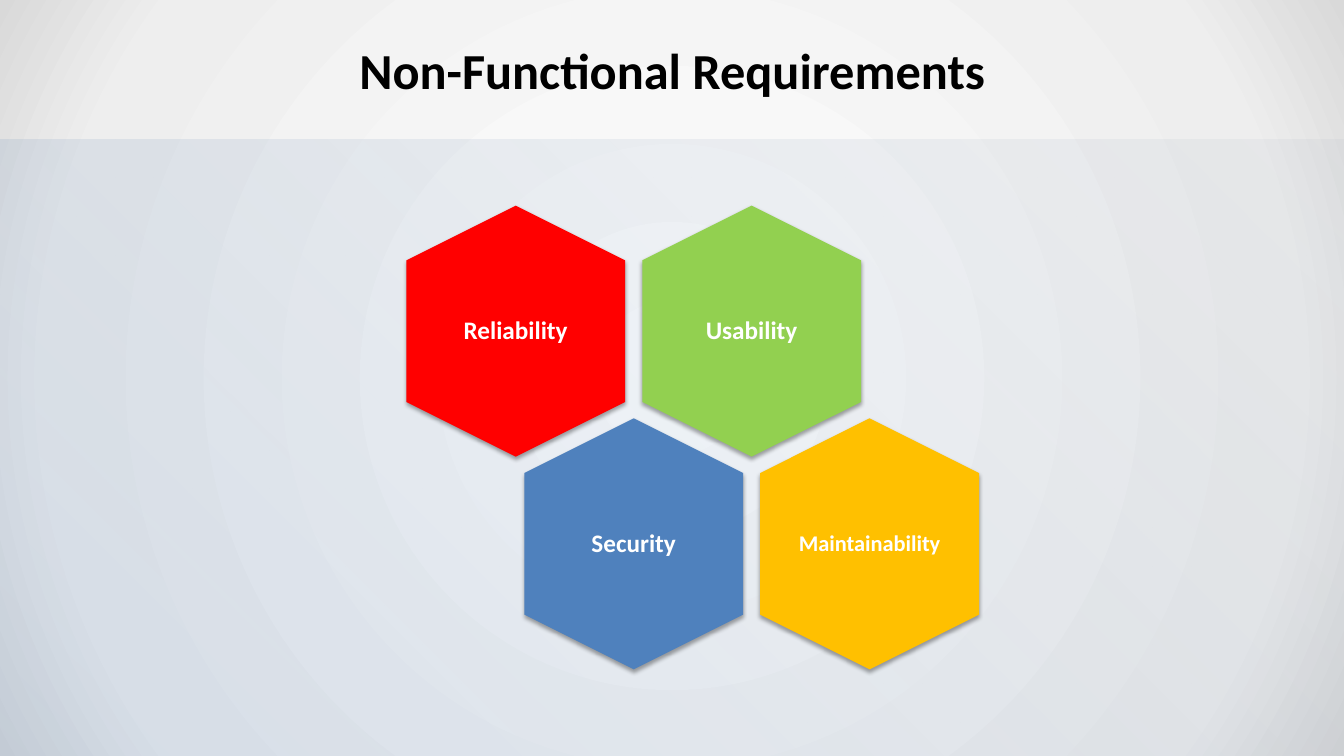
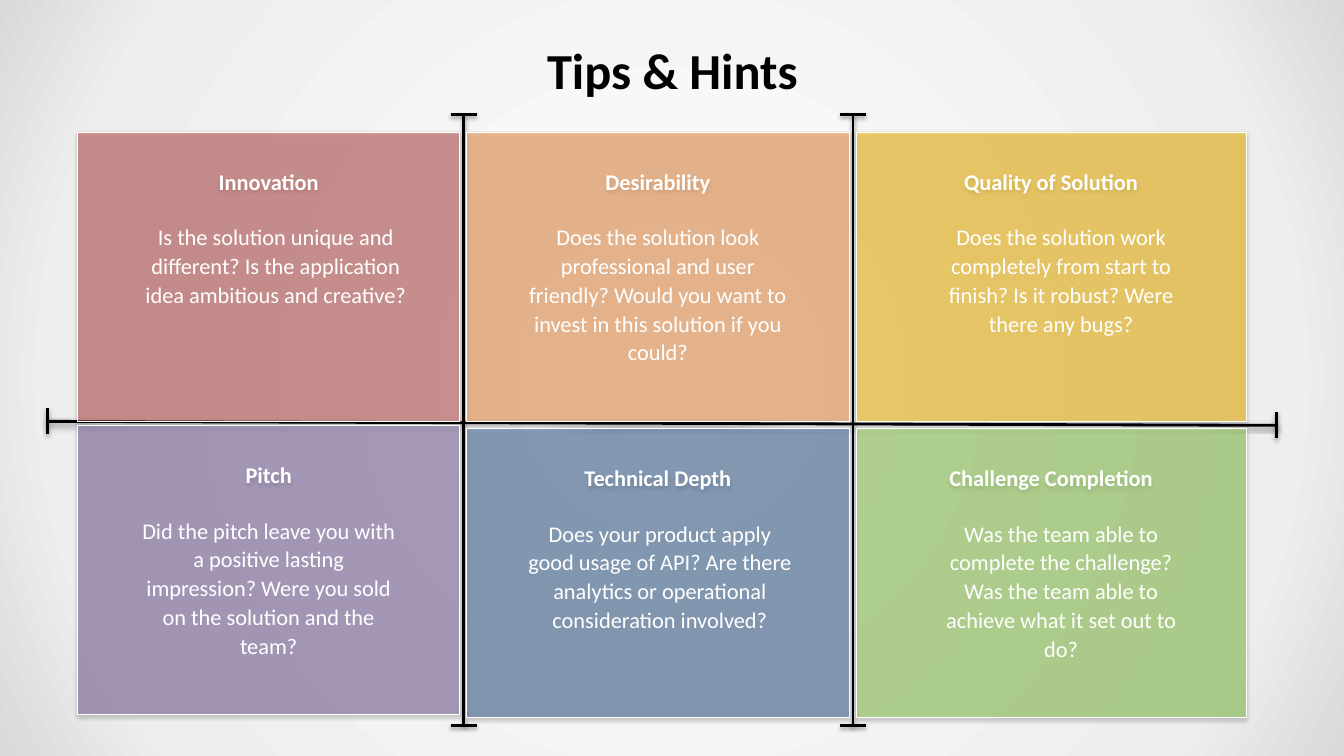
from dataclasses import dataclass

from lxml.etree import SubElement
from pptx import Presentation
from pptx.dml.color import RGBColor
from pptx.enum.shapes import MSO_CONNECTOR, MSO_SHAPE
from pptx.enum.text import MSO_ANCHOR, PP_ALIGN
from pptx.oxml import parse_xml
from pptx.oxml.ns import nsdecls, qn
from pptx.util import Inches, Pt

# Content: hexagons as (label, colour, text size, column, row)
QUALITIES_TITLE = "Non-Functional Requirements"
QUALITIES = [
    ("Usability", "92D050", 18, 1, 0),
    ("Reliability", "FF0000", 18, 0, 0),
    ("Security", "4F81BD", 18, 0, 1),
    ("Maintainability", "FFC000", 16, 1, 1),
]

# Content: tiles by row, as (heading, colour, question, indent of the question)
TIPS_TITLE = "Tips & Hints"
TIPS = [
    [
        ("Innovation", "C0504D",
         "Is the solution unique and different? Is the application idea "
         "ambitious and creative?", 0.55),
        ("Desirability", "F79646",
         "Does the solution look professional and user friendly? Would you "
         "want to invest in this solution if you could?", 0.48),
        ("Quality of Solution", "FFC000",
         "Does the solution work completely from start to finish? Is it "
         "robust? Were there any bugs?", 0.62),
    ],
    [
        ("Pitch", "8064A2",
         "Did the pitch leave you with a positive lasting impression? Were "
         "you sold on the solution and the team?", 0.48),
        ("Technical Depth", "376092",
         "Does your product apply good usage of API? Are there analytics or "
         "operational consideration involved?", 0.5),
        ("Challenge Completion", "92D050",
         "Was the team able to complete the challenge? Was the team able to "
         "achieve what it set out to do?", 0.62),
    ],
]


@dataclass(frozen=True)
class Theme:
    font: str = "Calibri"
    title_size: int = 36
    body_size: int = 16
    ink: str = "000000"
    paper: str = "FFFFFF"
    # Gradient stops: position, colour, opacity in percent
    backdrop: tuple = ((0, "FFFFFF", 100), (81, "EEEEEE", 100), (100, "D9D9D9", 100))
    band: tuple = ((0, "2A4C75", 4), (100, "4780C5", 15))
    # Shadows: opacity in percent, blur and distance in points
    shape_shadow: tuple = (35, 3.1, 1.8)
    line_shadow: tuple = (38, 3.1, 1.6)


THEME = Theme()
WIDTH, HEIGHT = 13.33, 7.5
CENTRE = (50, 50, 50, 50)
TOP_RIGHT = (100, 0, 0, 100)

# Honeycomb grid
HEX_LEFT, HEX_TOP = 3.87, 2.2
HEX_LONG, HEX_SHORT = 2.49, 2.17
HEX_PITCH_X, HEX_PITCH_Y = 2.34, 2.11
LABEL_WIDTH, LABEL_HEIGHT = 1.49, 1.72

# Tile grid
TILE_LEFT, TILE_PITCH, TILE_HEIGHT = 0.77, 3.86, 2.87
TILE_WIDTHS = (3.79, 3.79, 3.87)
TILE_TOPS = ((1.31, 1.31, 1.31), (4.22, 4.25, 4.25))
HEADING_INSET = 0.34
QUESTION_DROP, QUESTION_WIDTH, QUESTION_HEIGHT = 0.84, 2.83, 1.53
AXIS_TOP, AXIS_BOTTOM, CAP = 1.14, 7.2, 0.13
AXES = [
    (x, AXIS_TOP, x, AXIS_BOTTOM)
    for x in (TILE_LEFT + column * TILE_PITCH - 0.03 for column in (1, 2))
] + [(0.47, 4.18, 12.66, 4.22)]


def color(value):
    return RGBColor.from_string(value)


def paint_radial(owner, fill, stops, focus):
    """Give a shape or slide a circular gradient spreading from the focus."""
    fill.gradient()
    old = owner.element.find(".//" + qn("a:gradFill"))
    gradient = parse_xml(f'<a:gradFill {nsdecls("a")} rotWithShape="1"/>')
    stop_list = SubElement(gradient, qn("a:gsLst"))
    for position, value, opacity in stops:
        stop = SubElement(stop_list, qn("a:gs"), pos=str(position * 1000))
        tone = SubElement(stop, qn("a:srgbClr"), val=value)
        SubElement(tone, qn("a:alpha"), val=str(opacity * 1000))
    circle = SubElement(gradient, qn("a:path"), path="circle")
    sides = {side: str(share * 1000) for side, share in zip("ltrb", focus)}
    SubElement(circle, qn("a:fillToRect"), **sides)
    old.getparent().replace(old, gradient)


def cast_shadow(shape, shadow=None):
    """Set the effects after fill and line; without a shadow they stay empty."""
    effects = SubElement(shape.element.spPr, qn("a:effectLst"))
    if shadow:
        opacity, blur, distance = shadow
        outer = SubElement(effects, qn("a:outerShdw"), blurRad=str(Pt(blur)),
                           dist=str(Pt(distance)), dir="5400000", rotWithShape="0")
        tone = SubElement(outer, qn("a:srgbClr"), val=THEME.ink)
        SubElement(tone, qn("a:alpha"), val=str(opacity * 1000))


def write(shape, text, size, ink=THEME.paper, bold=False, spacing=1.07,
          anchor=MSO_ANCHOR.TOP):
    frame = shape.text_frame
    frame.word_wrap = True
    frame.vertical_anchor = anchor
    paragraph = frame.paragraphs[0]
    paragraph.text = text
    paragraph.alignment = PP_ALIGN.CENTER
    paragraph.line_spacing = spacing
    font = paragraph.font
    font.name, font.size, font.bold = THEME.font, Pt(size), bold
    font.color.rgb = color(ink)
    return frame


def add_text(slide, box, text, size, **style):
    shape = slide.shapes.add_textbox(*map(Inches, box))
    return write(shape, text, size, **style)


def add_solid(slide, kind, box, value):
    shape = slide.shapes.add_shape(kind, *map(Inches, box))
    shape.fill.solid()
    shape.fill.fore_color.rgb = color(value)
    shape.line.fill.background()
    return shape


def start_slide(presentation):
    slide = presentation.slides.add_slide(presentation.slide_layouts[6])
    paint_radial(slide, slide.background.fill, THEME.backdrop, CENTRE)
    return slide


def add_title(slide, text):
    add_text(slide, (0.67, 0.3, 12, 0.78), text, THEME.title_size, ink=THEME.ink,
             bold=True, spacing=1.0, anchor=MSO_ANCHOR.MIDDLE)


def add_hexagon(slide, label, value, size, column, row):
    left = HEX_LEFT + (column + row / 2) * HEX_PITCH_X
    top = HEX_TOP + row * HEX_PITCH_Y
    hexagon = add_solid(slide, MSO_SHAPE.HEXAGON,
                        (left, top, HEX_LONG, HEX_SHORT), value)
    hexagon.rotation = 90
    cast_shadow(hexagon, THEME.shape_shadow)
    label_box = (left + (HEX_LONG - LABEL_WIDTH) / 2,
                 top + (HEX_SHORT - LABEL_HEIGHT) / 2, LABEL_WIDTH, LABEL_HEIGHT)
    frame = add_text(slide, label_box, label, size, bold=True, spacing=0.9,
                     anchor=MSO_ANCHOR.MIDDLE)
    frame.margin_left = frame.margin_right = 0


def add_line(slide, *ends):
    line = slide.shapes.add_connector(MSO_CONNECTOR.STRAIGHT, *map(Inches, ends))
    line.line.color.rgb = color(THEME.ink)
    line.line.width = Pt(2)
    cast_shadow(line, THEME.line_shadow)


def add_axis(slide, x1, y1, x2, y2):
    """Draw a line with a cap across each end."""
    add_line(slide, x1, y1, x2, y2)
    across, down = (CAP, 0) if x1 == x2 else (0, CAP)
    for x, y in ((x1, y1), (x2, y2)):
        add_line(slide, x - across, y - down, x + across, y + down)


def add_tile(slide, row, column, heading, value):
    box = (TILE_LEFT + column * TILE_PITCH, TILE_TOPS[row][column],
           TILE_WIDTHS[column], TILE_HEIGHT)
    tile = add_solid(slide, MSO_SHAPE.RECTANGLE, box, value)
    tone = tile.element.spPr.find(qn("a:solidFill"))[0]
    SubElement(tone, qn("a:alpha"), val="50000")
    tile.line.color.rgb = color(THEME.paper)
    tile.line.width = Pt(0.5)
    cast_shadow(tile, THEME.shape_shadow)
    frame = write(tile, heading, THEME.body_size, bold=True)
    frame.margin_top = Inches(HEADING_INSET)


def build_qualities(presentation):
    slide = start_slide(presentation)
    # Tinted band below the title
    band_top = 1.38
    band = add_solid(slide, MSO_SHAPE.RECTANGLE,
                     (0.01, band_top, WIDTH, HEIGHT - band_top + 0.05), THEME.paper)
    paint_radial(band, band.fill, THEME.band, TOP_RIGHT)
    cast_shadow(band)
    add_title(slide, QUALITIES_TITLE)
    # Honeycomb
    for quality in QUALITIES:
        add_hexagon(slide, *quality)


def build_tips(presentation):
    slide = start_slide(presentation)
    add_title(slide, TIPS_TITLE)
    # Dividing axes behind the tiles
    for axis in AXES:
        add_axis(slide, *axis)
    # Tiles with their questions
    for row, tips in enumerate(TIPS):
        for column, (heading, value, question, indent) in enumerate(tips):
            add_tile(slide, row, column, heading, value)
            question_box = (TILE_LEFT + column * TILE_PITCH + indent,
                            TILE_TOPS[row][column] + QUESTION_DROP,
                            QUESTION_WIDTH, QUESTION_HEIGHT)
            add_text(slide, question_box, question, THEME.body_size)


def main():
    presentation = Presentation()
    presentation.slide_width = Inches(WIDTH)
    presentation.slide_height = Inches(HEIGHT)
    build_qualities(presentation)
    build_tips(presentation)
    presentation.save("out.pptx")


if __name__ == "__main__":
    main()
